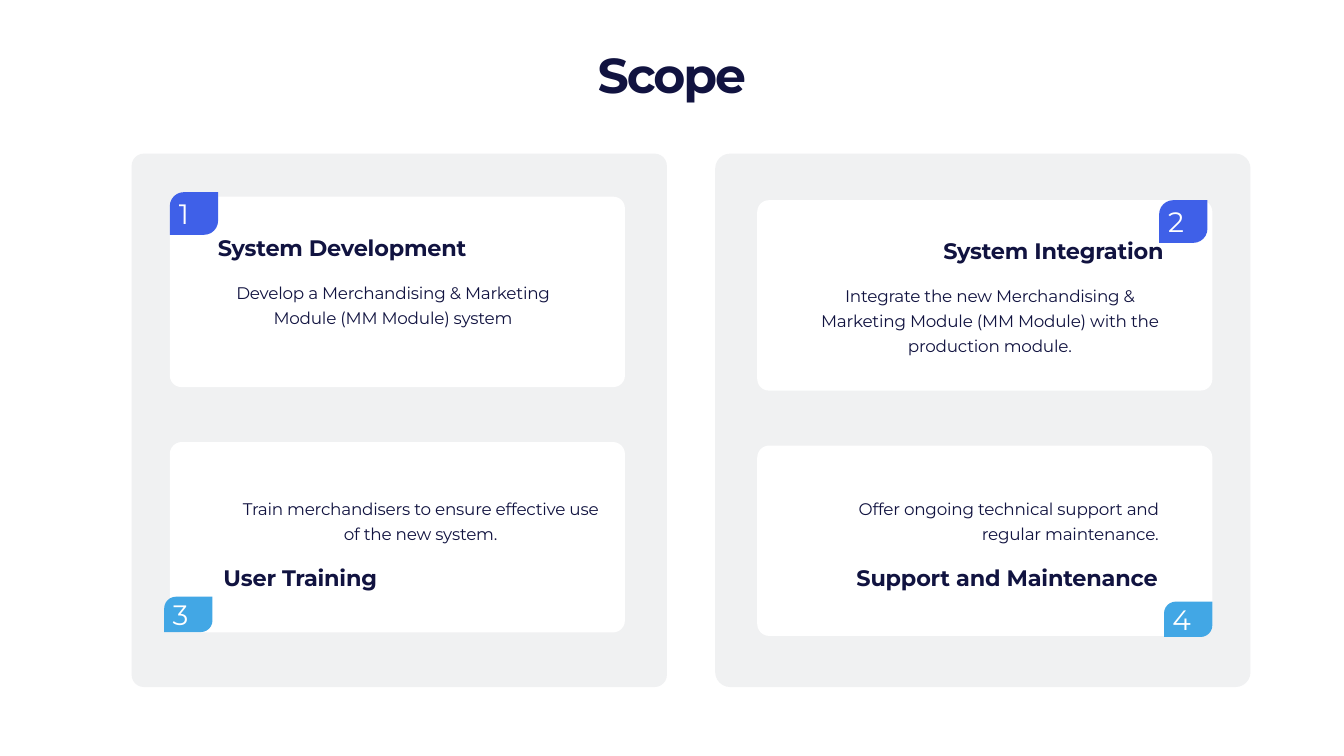
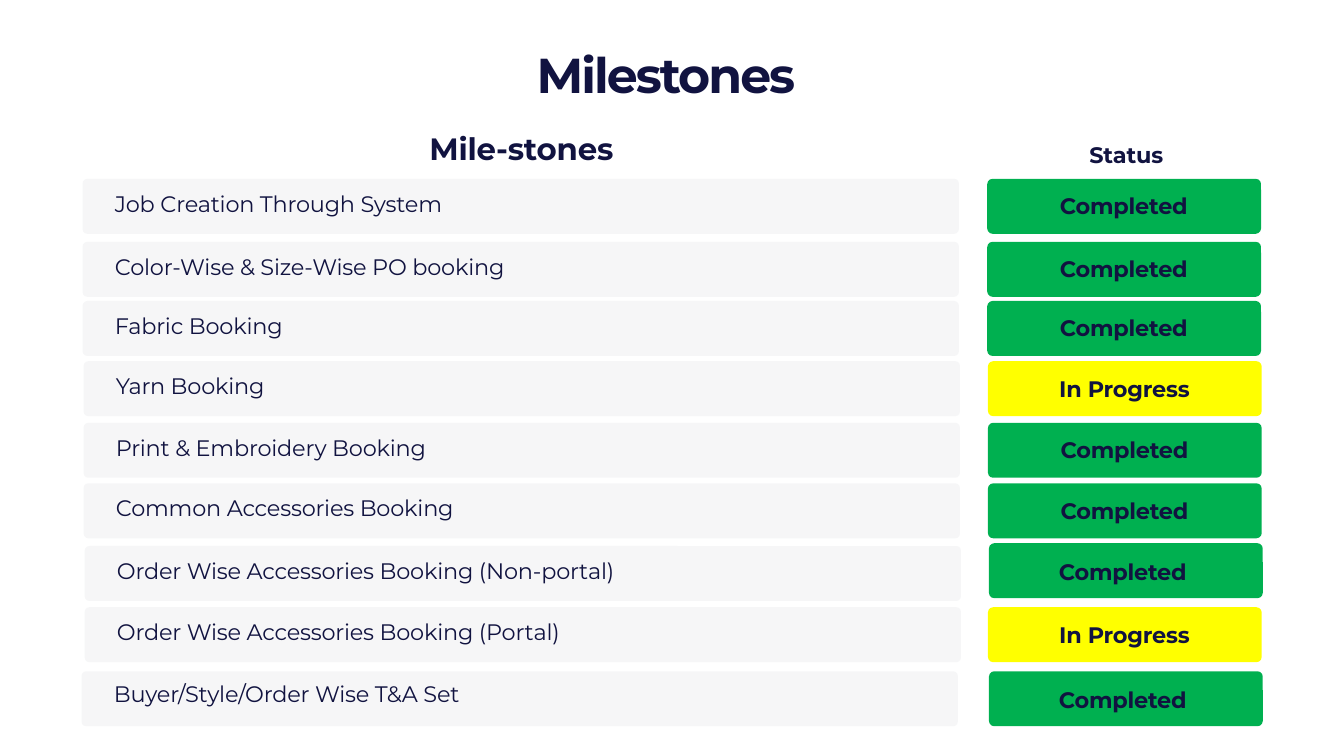
from dataclasses import dataclass
from typing import Any, Optional

import pptx
import pptx.dml.color
import pptx.enum.shapes
import pptx.enum.text
import pptx.oxml
import pptx.oxml.ns
import pptx.util

Pt = pptx.util.Pt
SHAPE = pptx.enum.shapes.MSO_SHAPE
ALIGN = pptx.enum.text.PP_ALIGN
ANCHOR = pptx.enum.text.MSO_ANCHOR
AUTO = pptx.enum.text.MSO_AUTO_SIZE

# Shared look
FONT = "Montserrat"
NAVY, WHITE, GRAY = "111340", "FFFFFF", "C4C8CE"
BLUE, SKY = "3F60E8", "42A7E5"
STATUS_FILLS = {"Completed": "00B050", "In Progress": "FFFF00"}
LINE_HEIGHT = 36


@dataclass(frozen=True)
class Box:
    left: float
    top: float
    width: float
    height: float

    def lengths(self) -> list[int]:
        return [Pt(v) for v in (self.left, self.top, self.width, self.height)]


@dataclass(frozen=True)
class ScopeCard:
    number: str
    heading: str
    body: str
    card: Box
    badge: Box
    heading_at: tuple[float, float]
    body_at: tuple[float, float]
    badge_fill: str
    rounding: float
    heading_align: Any = ALIGN.LEFT
    body_align: Any = ALIGN.CENTER


@dataclass(frozen=True)
class Milestone:
    name: str
    status: str
    top: float
    left: float
    status_left: float
    status_top: Optional[float] = None
    name_drop: float = 14
    label_shift: float = 21.5
    label_drop: float = 15.5


TITLE_BOX = Box(119.5, 59, 1680, 92)

# Scope content
PANELS = [(Box(188, 219.5, 764.5, 762), 0.023), (Box(1021.5, 219.5, 764.5, 762), 0.028)]
SCOPE_CARDS = [
    ScopeCard("1", "System Development",
              "Develop a Merchandising & Marketing Module (MM Module) system",
              Box(242.5, 281, 650, 272), Box(242.5, 274.5, 69, 61),
              (304, 330), (298, 392.5), BLUE, 0.061),
    ScopeCard("2", "System Integration",
              "Integrate the new Merchandising & Marketing Module (MM Module) "
              "with the production module.",
              Box(1081.5, 286, 650, 272), Box(1655.5, 286, 69, 61),
              (1142.5, 335), (1150.5, 397.5), BLUE, 0.061, ALIGN.RIGHT),
    ScopeCard("3", "User Training",
              "Train merchandisers to ensure effective use of the new system.",
              Box(242.5, 631.5, 650, 272), Box(234.5, 852.5, 69, 50.5),
              (312, 802), (337.5, 702), SKY, 0.063),
    ScopeCard("4", "Support and Maintenance",
              "Offer ongoing technical support and regular maintenance.",
              Box(1081.5, 636.5, 650, 272), Box(1662.5, 859.5, 69, 50.5),
              (1134, 802), (1135.5, 702), SKY, 0.063, ALIGN.RIGHT, ALIGN.RIGHT),
]

# Milestone content
MILESTONES = [
    Milestone("Job Creation Through System", "Completed", 255.5, 118, 1410),
    Milestone("Color-Wise & Size-Wise PO booking", "Completed", 345.5, 118, 1410),
    Milestone("Fabric Booking", "Completed", 430, 118, 1410),
    Milestone("Yarn Booking", "In Progress", 516, 119.5, 1411),
    Milestone("Print & Embroidery Booking", "Completed", 604, 119.5, 1411),
    Milestone("Common Accessories Booking", "Completed", 690.5, 119.5, 1411),
    Milestone("Order Wise Accessories Booking (Non-portal)", "Completed", 780, 121, 1412.5,
              status_top=776, label_shift=17.5, label_drop=18),
    Milestone("Order Wise Accessories Booking (Portal)", "In Progress", 867.5, 121, 1411),
    Milestone("Buyer/Style/Order Wise T&A Set", "Completed", 959, 116.5, 1412.5,
              name_drop=11, label_shift=17.5, label_drop=17.5),
]


def rgb(code: str) -> pptx.dml.color.RGBColor:
    return pptx.dml.color.RGBColor.from_string(code)


def write_text(shape: Any, text: str, *, size: float, color: str = NAVY, bold: bool = False,
               align: Any = ALIGN.LEFT, anchor: Any = ANCHOR.TOP, tracking: float = -0.3,
               line_height: Optional[float] = None, wrap: bool = True,
               grow: bool = True) -> None:
    frame = shape.text_frame
    frame.word_wrap = wrap
    frame.auto_size = AUTO.SHAPE_TO_FIT_TEXT if grow else AUTO.NONE
    frame.vertical_anchor = anchor
    paragraph = frame.paragraphs[0]
    paragraph.alignment = align
    if line_height:
        paragraph.line_spacing = Pt(line_height)
    run = paragraph.add_run()
    run.text = text
    run.font.name = FONT
    run.font.size = Pt(size)
    run.font.bold = bold
    run.font.color.rgb = rgb(color)
    if tracking:
        run._r.get_or_add_rPr().set("spc", str(round(tracking * 100)))


def add_text(slide: Any, text: str, box: Box, **style: Any) -> None:
    write_text(slide.shapes.add_textbox(*box.lengths()), text, **style)


def add_block(slide: Any, box: Box, fill: str, rounding: list[float],
              kind: Any = SHAPE.ROUNDED_RECTANGLE, opacity: int = 100) -> Any:
    block = slide.shapes.add_shape(kind, *box.lengths())
    block.shadow.inherit = False
    block.line.fill.background()
    block.fill.solid()
    block.fill.fore_color.rgb = rgb(fill)
    if opacity < 100:
        color = block.fill._xPr.find(".//" + pptx.oxml.ns.qn("a:srgbClr"))
        alpha = pptx.oxml.parse_xml(
            f'<a:alpha {pptx.oxml.ns.nsdecls("a")} val="{opacity * 1000}"/>')
        color.append(alpha)
    for index, value in enumerate(rounding):
        block.adjustments[index] = value
    return block


def add_titled_slide(deck: Any, title: str) -> Any:
    slide = deck.slides.add_slide(deck.slide_layouts[5])
    heading = slide.shapes.title
    heading.left, heading.top, heading.width, heading.height = TITLE_BOX.lengths()
    write_text(heading, title, size=70, bold=True, align=ALIGN.CENTER,
               anchor=ANCHOR.BOTTOM, tracking=-2.9)
    return slide


def add_scope_card(slide: Any, item: ScopeCard) -> None:
    add_block(slide, item.card, WHITE, [item.rounding])
    badge = add_block(slide, item.badge, item.badge_fill, [0.33, 0],
                      SHAPE.ROUND_2_DIAG_RECTANGLE)
    write_text(badge, item.number, size=40, color=WHITE, anchor=ANCHOR.MIDDLE,
               tracking=0, wrap=False, grow=False)
    add_text(slide, item.heading, Box(*item.heading_at, 526.5, 46), size=32, bold=True,
             align=item.heading_align, anchor=ANCHOR.BOTTOM)
    add_text(slide, item.body, Box(*item.body_at, 526.5, 77), size=24,
             align=item.body_align, line_height=LINE_HEIGHT)


def add_milestone(slide: Any, item: Milestone) -> None:
    add_block(slide, Box(item.left, item.top, 1251.5, 78.5), GRAY, [0.084], opacity=15)
    add_text(slide, item.name, Box(item.left + 39, item.top + item.name_drop, 1016.5, 44),
             size=32, anchor=ANCHOR.MIDDLE, line_height=LINE_HEIGHT)
    status_top = item.top if item.status_top is None else item.status_top
    add_block(slide, Box(item.status_left, status_top, 391, 78.5),
              STATUS_FILLS[item.status], [0.095])
    label = Box(item.status_left + item.label_shift, status_top + item.label_drop, 347, 46)
    add_text(slide, item.status, label, size=32, bold=True, align=ALIGN.CENTER,
             anchor=ANCHOR.MIDDLE)


def build_scope(deck: Any) -> None:
    slide = add_titled_slide(deck, "Scope")
    for panel, rounding in PANELS:
        add_block(slide, panel, GRAY, [rounding], opacity=25)
    for item in SCOPE_CARDS:
        add_scope_card(slide, item)


def build_milestones(deck: Any) -> None:
    slide = add_titled_slide(deck, "Milestones ")
    # Column headings
    for text, box, size in [("Mile-stones", Box(467.5, 181.5, 554.5, 60.5), 44),
                            ("Status", Box(1405.5, 198, 406, 46), 32)]:
        add_text(slide, text, box, size=size, bold=True, align=ALIGN.CENTER,
                 anchor=ANCHOR.BOTTOM)
    for item in MILESTONES:
        add_milestone(slide, item)


def main() -> None:
    deck = pptx.Presentation()
    deck.slide_width, deck.slide_height = Pt(1919.5), Pt(1080)
    build_scope(deck)
    build_milestones(deck)
    deck.save("out.pptx")


if __name__ == "__main__":
    main()
